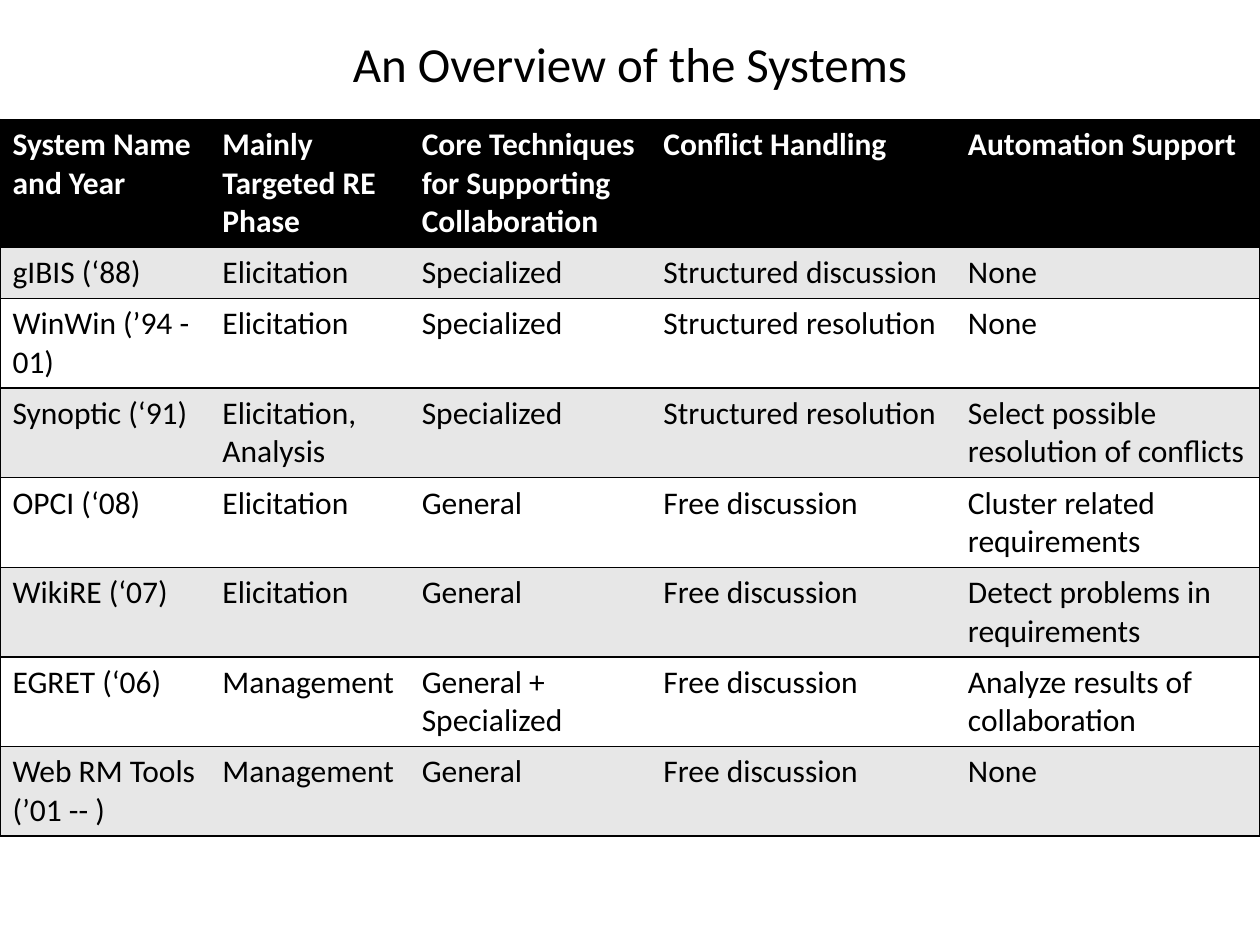
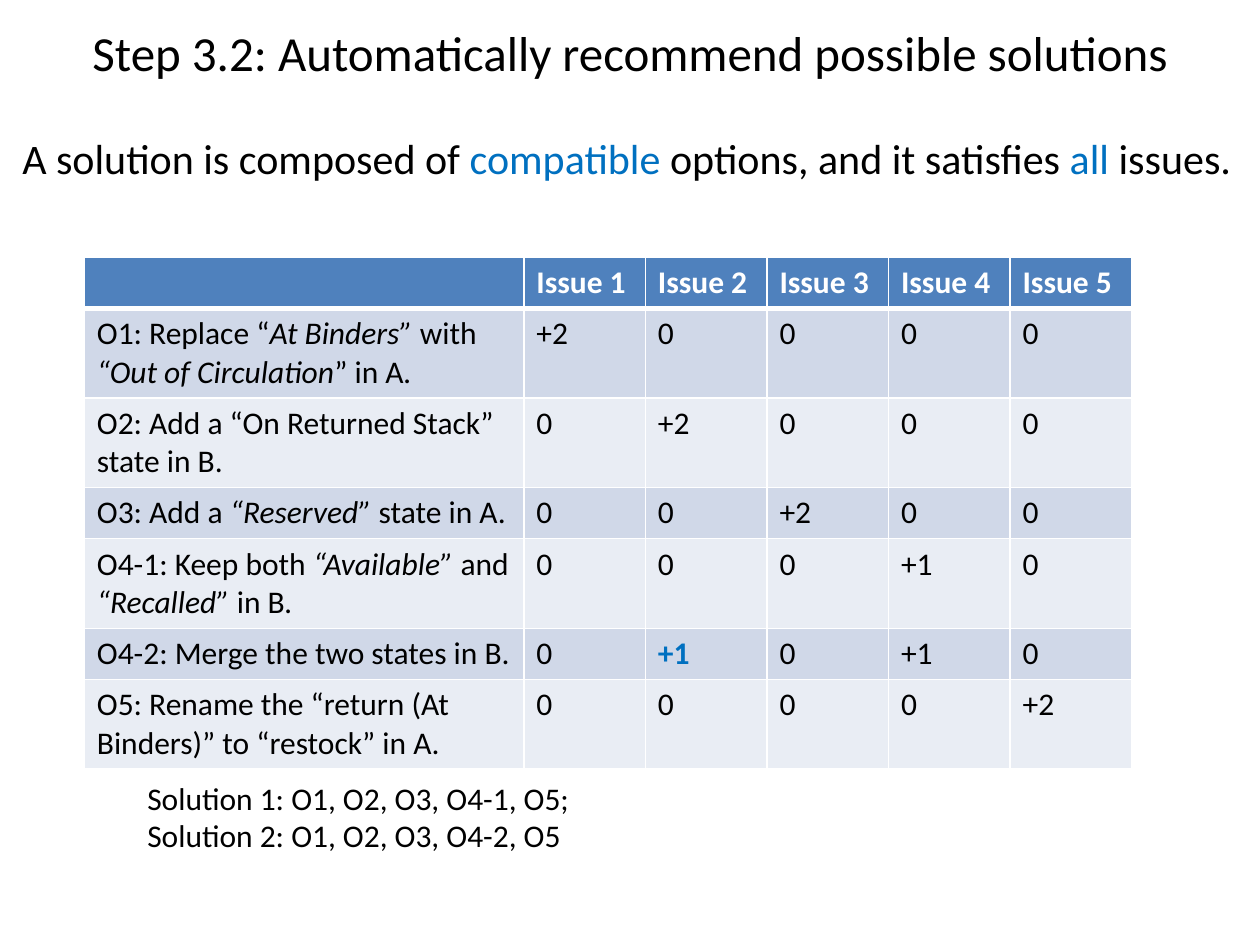
from dataclasses import dataclass

from lxml import etree
from pptx import Presentation
from pptx import util as u
from pptx.dml.color import RGBColor
from pptx.enum import text as t
from pptx.oxml import ns


@dataclass(frozen=True)
class Theme:
    font: str = "Calibri"
    ink: str = "000000"
    paper: str = "FFFFFF"
    accent: str = "0070C0"
    grey: str = "E7E7E7"
    head_blue: str = "4F81BD"
    dark_band: str = "D0D8E8"
    light_band: str = "E9EDF4"
    title: int = 28
    lead: int = 24
    body: int = 18


TH = Theme()

# Content: text between asterisks is emphasised
SYSTEMS_TITLE = "An Overview of the Systems"
SYSTEMS = [
    ("System Name and Year", "Mainly Targeted RE Phase",
     "Core Techniques for Supporting Collaboration", "Conflict Handling", "Automation Support"),
    ("gIBIS (‘88)", "Elicitation", "Specialized", "Structured discussion", "None"),
    ("WinWin (’94 - 01)", "Elicitation", "Specialized", "Structured resolution", "None"),
    ("Synoptic (‘91)", "Elicitation, Analysis", "Specialized", "Structured resolution",
     "Select possible resolution of conflicts"),
    ("OPCI (‘08)", "Elicitation", "General", "Free discussion", "Cluster related requirements"),
    ("WikiRE (‘07)", "Elicitation", "General", "Free discussion",
     "Detect problems in requirements"),
    ("EGRET (‘06)", "Management", "General + Specialized", "Free discussion",
     "Analyze results of collaboration"),
    ("Web RM Tools (’01 -- )", "Management", "General", "Free discussion", "None"),
]

STEP_TITLE = "Step 3.2: Automatically recommend possible solutions"
STEP_LEAD = "A solution is composed of *compatible* options, and it satisfies *all* issues."
OPTIONS = [
    ("", "Issue 1", "Issue 2", "Issue 3", "Issue 4", "Issue 5"),
    ("O1: Replace “*At Binders”* with *“Out of Circulation*” in A*.*", "+2", "0", "0", "0", "0"),
    ("O2: Add a “On Returned Stack” state in B.", "0", "+2", "0", "0", "0"),
    ("O3: Add a *“Reserved”* state in A.", "0", "0", "+2", "0", "0"),
    ("O4-1: Keep both *“Available” *and *“Recalled” *in B*.*", "0", "0", "0", "+1", "0"),
    ("O4-2: Merge the two states in B.", "0", "*+1*", "0", "+1", "0"),
    ("O5: Rename the “return (At Binders)” to “restock” in A.", "0", "0", "0", "0", "+2"),
]
SOLUTIONS = ["Solution 1: O1, O2, O3, O4-1, O5;", "Solution 2: O1, O2, O3, O4-2, O5"]


def put_text(p, text, *, size=TH.body, color=TH.ink, bold=False, italic=False,
             align=None, emphasis=None):
    """Fill a paragraph; emphasised pieces override the base format."""
    base = dict(color=color, bold=bold, italic=italic)
    p.alignment = align
    for i, piece in enumerate(text.split("*")):
        if not piece:
            continue
        look = {**base, **(emphasis or {})} if i % 2 else base
        r = p.add_run()
        r.text = piece
        r.font.name, r.font.size = TH.font, u.Pt(size)
        r.font.bold, r.font.italic = look["bold"], look["italic"]
        r.font.color.rgb = RGBColor.from_string(look["color"])


def add_text(s, box, lines, *, wrap=False, anchor=t.MSO_ANCHOR.TOP, **fmt):
    tf = s.shapes.add_textbox(*map(u.Cm, box)).text_frame
    tf.word_wrap, tf.vertical_anchor = wrap, anchor
    tf.auto_size = t.MSO_AUTO_SIZE.NONE if wrap else t.MSO_AUTO_SIZE.SHAPE_TO_FIT_TEXT
    for i, line in enumerate(lines):
        put_text(tf.add_paragraph() if i else tf.paragraphs[0], line, **fmt)


def add_title(s, box, text):
    add_text(s, box, [text], wrap=True, anchor=t.MSO_ANCHOR.MIDDLE,
             size=TH.title, align=t.PP_ALIGN.CENTER)


def set_borders(cell, color, widths):
    """Draw the left, right, top and bottom edges; width 0 means no line."""
    tc_pr = cell._tc.get_or_add_tcPr()
    for side, width in zip("LRTB", widths):
        ln = etree.SubElement(tc_pr, ns.qn(f"a:ln{side}"), w=str(u.Pt(width)))
        if width:
            fill = etree.SubElement(ln, ns.qn("a:solidFill"))
            etree.SubElement(fill, ns.qn("a:srgbClr"), val=color)
        else:
            etree.SubElement(ln, ns.qn("a:noFill"))


def add_table(s, left, top, col_widths, rows, *, head, bands, line,
              inner=0, head_rule=1, row_height=1.03):
    table = s.shapes.add_table(len(rows), len(col_widths), u.Cm(left), u.Cm(top),
                               u.Cm(sum(col_widths)), u.Cm(row_height * len(rows))).table
    for col, width in zip(table.columns, col_widths):
        col.width = u.Cm(width)
    last = len(col_widths) - 1
    for i, row in enumerate(rows):
        table.rows[i].height = u.Cm(row_height)
        for j, text in enumerate(row):
            cell = table.cell(i, j)
            set_borders(cell, line, (inner if j else 1, inner if j < last else 1,
                                     head_rule if i == 1 else 1, head_rule if i == 0 else 1))
            cell.fill.solid()
            fill = bands[(i - 1) % 2] if i else head
            cell.fill.fore_color.rgb = RGBColor.from_string(fill)
            put_text(cell.text_frame.paragraphs[0], text, bold=i == 0,
                     color=TH.ink if i else TH.paper,
                     emphasis=dict(color=TH.accent, bold=True) if j else dict(italic=True))


def main():
    prs = Presentation()
    prs.slide_width, prs.slide_height = u.Cm(25.4), u.Cm(19.05)
    blank = prs.slide_layouts[6]

    # Systems overview
    s = prs.slides.add_slide(blank)
    add_title(s, (1.27, 0.64, 22.86, 1.27), SYSTEMS_TITLE)
    add_table(s, 0, 2.41, (4.23, 4.02, 4.87, 6.14, 6.14), SYSTEMS,
              head=TH.ink, bands=(TH.grey, TH.paper), line=TH.ink)

    # Options scored against issues
    s = prs.slides.add_slide(blank)
    add_title(s, (0, 0, 25.4, 2.11), STEP_TITLE)
    add_table(s, 1.7, 5.19, [8.86] + [2.45] * 5, OPTIONS, head=TH.head_blue,
              bands=(TH.dark_band, TH.light_band), line=TH.paper, inner=1, head_rule=3)
    add_text(s, (2.72, 15.57, 9.12, 1.8), SOLUTIONS)
    add_text(s, (0.2, 2.54, 25.12, 1.28), [STEP_LEAD], size=TH.lead,
             emphasis=dict(color=TH.accent))

    prs.save("out.pptx")


if __name__ == "__main__":
    main()
